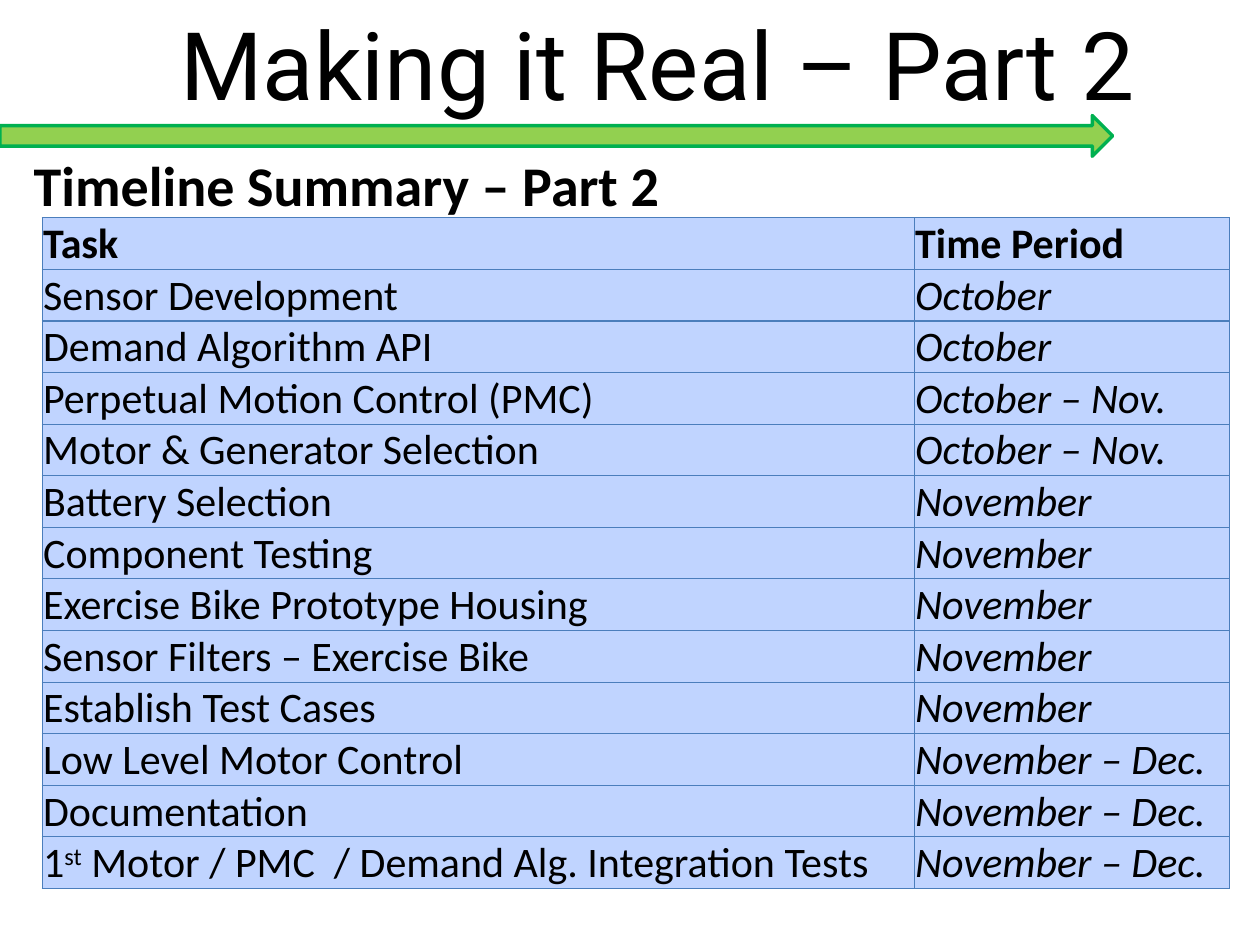
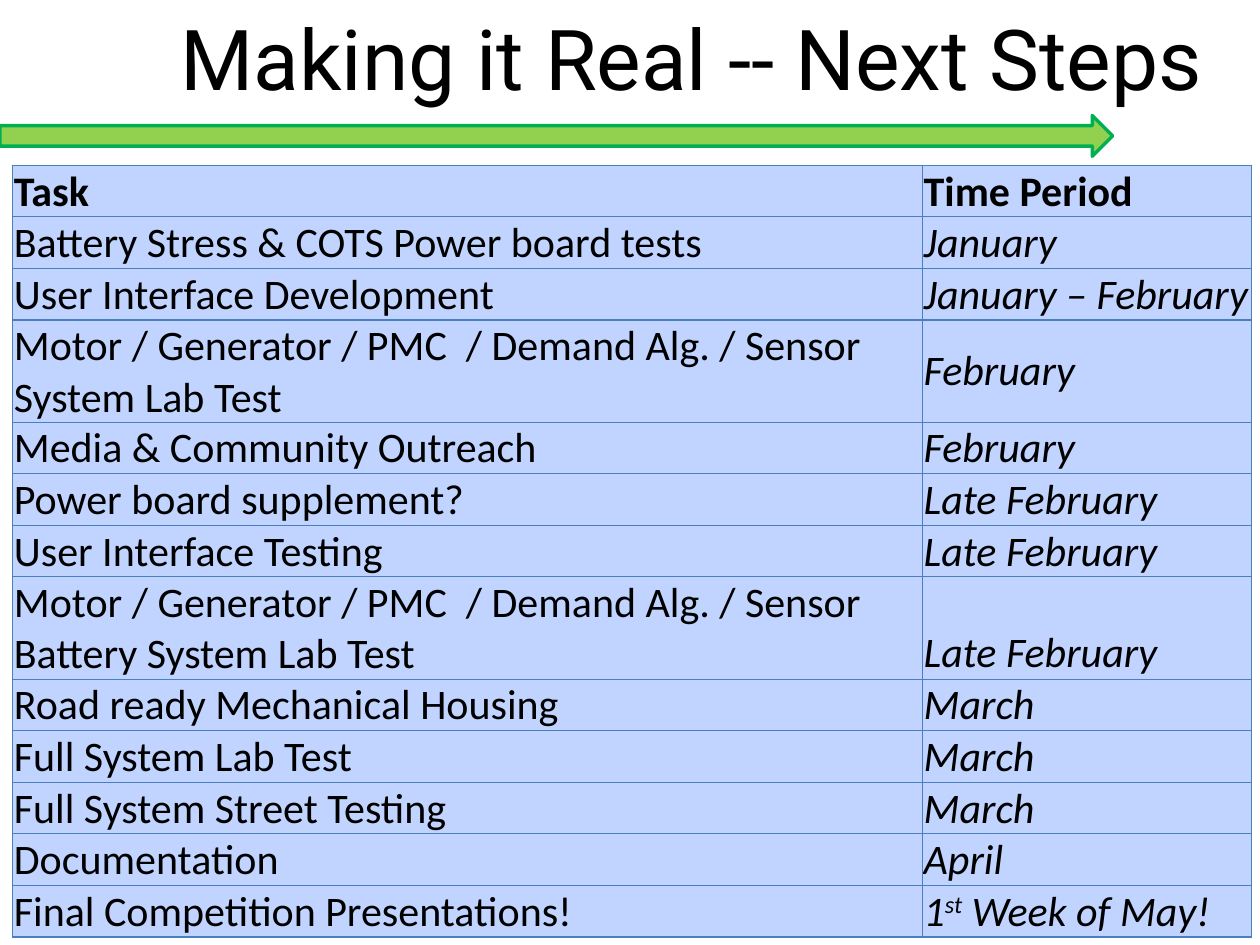
from typing import NamedTuple

from lxml.etree import SubElement
from pptx import Presentation
from pptx.dml.color import RGBColor
from pptx.enum.shapes import MSO_SHAPE
from pptx.enum.text import MSO_ANCHOR, MSO_AUTO_SIZE, PP_ALIGN
from pptx.oxml.ns import qn
from pptx.util import Cm, Pt

BLACK = RGBColor(0x00, 0x00, 0x00)
ARROW_FILL = RGBColor(0x92, 0xD0, 0x50)
ARROW_LINE = RGBColor(0x00, 0xB0, 0x50)
CELL_FILL = RGBColor(0xC0, 0xD4, 0xFF)
CELL_BORDER = RGBColor(0x4B, 0x7E, 0xBC)
TITLE_FONT = "Roboto"
BODY_FONT = "Calibri"
LINE_HEIGHT = 1.02
CELL_MARGIN = 0.02


class Task(NamedTuple):
    name: str
    period: str
    lines: int = 1
    period_anchor: MSO_ANCHOR = MSO_ANCHOR.BOTTOM


HEADER = Task("Task", "Time Period")

PART_2_TASKS = [
    Task("Sensor Development", "October"),
    Task("Demand Algorithm API", "October"),
    Task("Perpetual Motion Control (PMC)", "October – Nov."),
    Task("Motor & Generator Selection", "October – Nov."),
    Task("Battery Selection", "November"),
    Task("Component Testing", "November"),
    Task("Exercise Bike Prototype Housing", "November"),
    Task("Sensor Filters – Exercise Bike", "November"),
    Task("Establish Test Cases", "November"),
    Task("Low Level Motor Control", "November – Dec."),
    Task("Documentation", "November – Dec."),
    Task("1^st^ Motor / PMC  / Demand Alg. Integration Tests",
         "November – Dec.", period_anchor=MSO_ANCHOR.TOP),
]

NEXT_TASKS = [
    Task("Battery Stress & COTS Power board tests", "January"),
    Task("User Interface Development", "January – February"),
    Task("Motor / Generator / PMC  / Demand Alg. / Sensor System Lab Test",
         "February", 2, MSO_ANCHOR.MIDDLE),
    Task("Media & Community Outreach", "February"),
    Task("Power board supplement?", "Late February"),
    Task("User Interface Testing", "Late February"),
    Task("Motor / Generator / PMC  / Demand Alg. / Sensor Battery System Lab Test",
         "Late February", 2),
    Task("Road ready Mechanical Housing", "March"),
    Task("Full System Lab Test", "March"),
    Task("Full System Street Testing", "March"),
    Task("Documentation", "April"),
    Task("Final Competition Presentations!", "1^st^ Week of May!",
         period_anchor=MSO_ANCHOR.TOP),
]


def write_text(tf, text, font=BODY_FONT, size=24, bold=False, italic=False):
    p = tf.paragraphs[0]
    p.alignment = PP_ALIGN.LEFT
    for i, part in enumerate(text.split("^")):
        r = p.add_run()
        r.text = part
        r.font.name = font
        r.font.size = Pt(size)
        r.font.bold = bold
        r.font.italic = italic
        r.font.color.rgb = BLACK
        if i % 2:
            r.font._element.set("baseline", "30000")


def add_title(s, text, size, height):
    sp = s.shapes.title
    sp.left, sp.top, sp.width, sp.height = Cm(3.38), Cm(0), Cm(22.43), Cm(height)
    tf = sp.text_frame
    tf.vertical_anchor = MSO_ANCHOR.TOP
    tf.auto_size = MSO_AUTO_SIZE.SHAPE_TO_FIT_TEXT
    write_text(tf, text, font=TITLE_FONT, size=size)


def add_timeline_arrow(s):
    sp = s.shapes.add_shape(MSO_SHAPE.RIGHT_ARROW, Cm(0), Cm(2.33), Cm(22.43), Cm(0.82))
    sp.shadow.inherit = False
    sp.fill.solid()
    sp.fill.fore_color.rgb = ARROW_FILL
    sp.line.color.rgb = ARROW_LINE
    sp.line.width = Pt(2)


def add_subtitle(s, text):
    sp = s.shapes.add_textbox(Cm(0.43), Cm(2.9), Cm(13.23), Cm(1.62))
    tf = sp.text_frame
    tf.word_wrap = False
    tf.auto_size = MSO_AUTO_SIZE.SHAPE_TO_FIT_TEXT
    write_text(tf, text, size=32, bold=True)


def add_borders(cell):
    tc_pr = cell._tc.get_or_add_tcPr()
    for side in ("a:lnL", "a:lnR", "a:lnT", "a:lnB"):
        ln = SubElement(tc_pr, qn(side), w=str(Pt(0.75)))
        fill = SubElement(ln, qn("a:solidFill"))
        SubElement(fill, qn("a:srgbClr"), val=str(CELL_BORDER))


def fill_cell(cell, text, anchor, **text_format):
    cell.margin_left = cell.margin_right = cell.margin_top = Cm(CELL_MARGIN)
    cell.margin_bottom = Cm(0)
    cell.vertical_anchor = anchor
    add_borders(cell)
    cell.fill.solid()
    cell.fill.fore_color.rgb = CELL_FILL
    write_text(cell.text_frame, text, **text_format)


def add_task_table(s, tasks, left, top, widths):
    rows = [HEADER, *tasks]
    heights = [LINE_HEIGHT * task.lines + CELL_MARGIN for task in rows]
    table = s.shapes.add_table(len(rows), len(widths), Cm(left), Cm(top),
                               Cm(sum(widths)), Cm(sum(heights))).table
    table.horz_banding = False
    for column, width in zip(table.columns, widths):
        column.width = Cm(width)
    for i, (task, height) in enumerate(zip(rows, heights)):
        table.rows[i].height = Cm(height)
        is_header = i == 0
        fill_cell(table.cell(i, 0), task.name, MSO_ANCHOR.BOTTOM, bold=is_header)
        fill_cell(table.cell(i, 1), task.period, task.period_anchor,
                  bold=is_header, italic=not is_header)


def add_timeline_slide(prs, title, size, title_height):
    s = prs.slides.add_slide(prs.slide_layouts[5])
    add_title(s, title, size, title_height)
    add_timeline_arrow(s)
    return s


def main():
    prs = Presentation()
    prs.slide_width, prs.slide_height = Cm(25.4), Cm(19.05)

    s = add_timeline_slide(prs, "Making it Real – Part 2", 54, 2.57)
    add_subtitle(s, "Timeline Summary – Part 2")
    add_task_table(s, PART_2_TASKS, 0.85, 4.39, (17.58, 6.35))

    s = add_timeline_slide(prs, "Making it Real -- Next Steps", 48, 2.31)
    add_task_table(s, NEXT_TASKS, 0.26, 3.33, (18.34, 6.63))

    prs.save("out.pptx")


if __name__ == "__main__":
    main()
